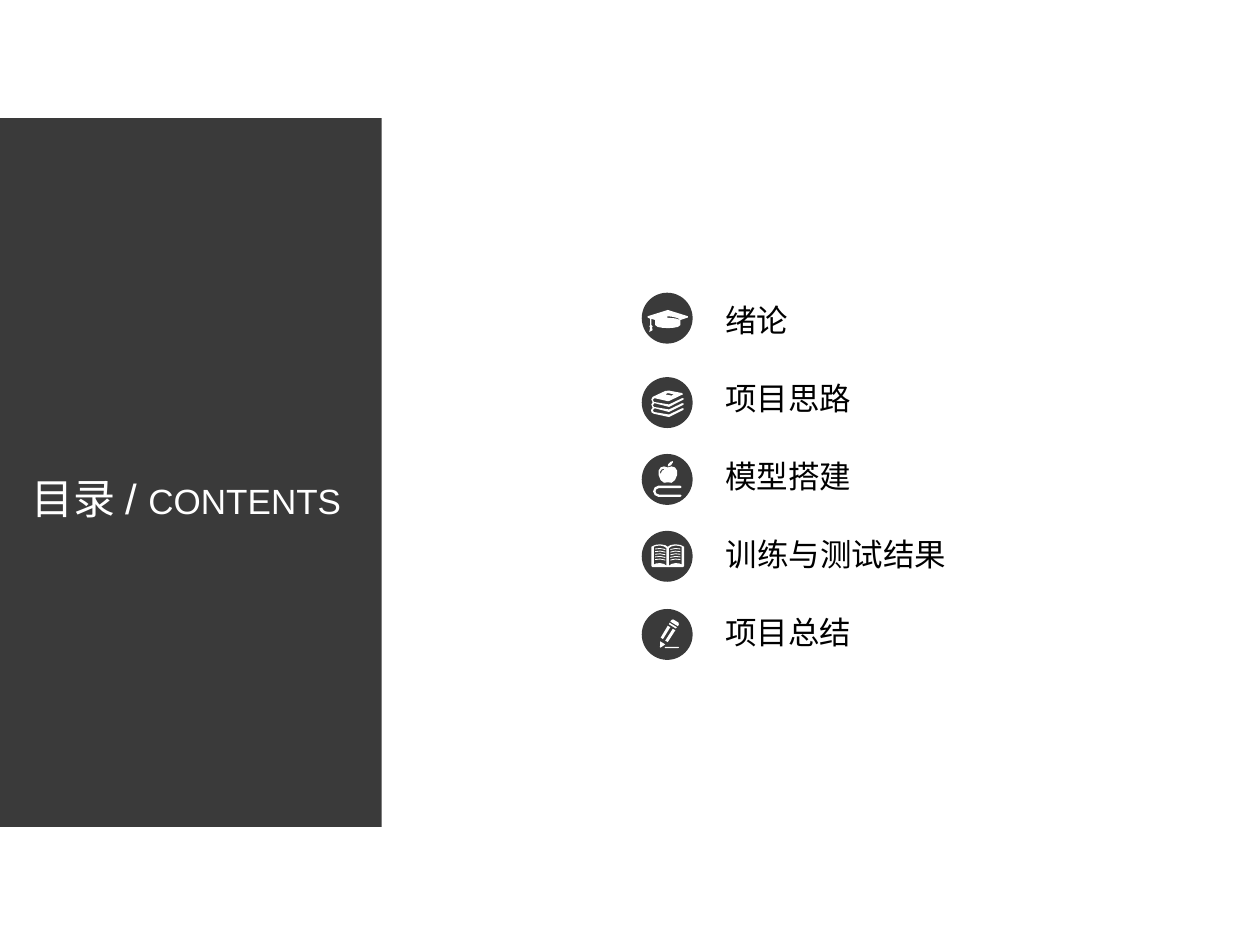
from dataclasses import dataclass

import pptx
import pptx.dml.color
import pptx.enum.shapes
import pptx.enum.text
import pptx.oxml
import pptx.oxml.ns
import pptx.util

COLORS = {"dark": "3A3A3A", "light": "FFFFFF", "text": "000000"}
CJK_FONT = "Noto Sans CJK SC"
WIDTH, HEIGHT = 10, 7.5
BADGE_LEFT, BADGE_SIZE = 0.51 * WIDTH, 0.39
LABEL_LEFT, LABEL_TOP, LABEL_STEP = 0.566 * WIDTH, 2.34, 0.62
UNIT = 0.01  # icon grid: hundredths of an inch from the badge's corner
AXIS = 20  # the open book is symmetric about this column

Contour = list[tuple[float, float]]
Icon = list[list[Contour]]  # shapes, each made of contours


@dataclass
class Chapter:
    label: str
    badge_top: float
    label_width: float
    icon: Icon


def inches(value: float) -> pptx.util.Emu:
    return pptx.util.Inches(value)


def rgb(name: str) -> pptx.dml.color.RGBColor:
    return pptx.dml.color.RGBColor.from_string(COLORS[name])


def mirror(contour: Contour) -> Contour:
    return [(2 * AXIS - x, y) for x, y in contour]


def paint(shape, fill: str, line: str | None = None) -> None:
    shape.shadow.inherit = False
    shape.fill.solid()
    shape.fill.fore_color.rgb = rgb(fill)
    if line:
        shape.line.color.rgb = rgb(line)
        shape.line.width = pptx.util.Pt(1)
    else:
        shape.line.fill.background()


def add_text(paragraph, text: str, *, size: float, color: str, font: str) -> None:
    run = paragraph.add_run()
    run.text = text
    run.font.size = pptx.util.Pt(size)
    run.font.color.rgb = rgb(color)
    run.font.name = font
    east_asian = pptx.oxml.parse_xml(
        f'<a:ea {pptx.oxml.ns.nsdecls("a")} typeface="{CJK_FONT}"/>')
    run.font._element.find(pptx.oxml.ns.qn("a:latin")).addnext(east_asian)


def draw_icon(shapes, icon: Icon, top: float) -> None:
    def place(point: tuple[float, float]) -> tuple[int, int]:
        return (inches(BADGE_LEFT + point[0] * UNIT), inches(top + point[1] * UNIT))

    for contours in icon:
        builder = shapes.build_freeform(*place(contours[0][0]))
        for number, contour in enumerate(contours):
            if number:
                builder.move_to(*place(contour[0]))
            builder.add_line_segments([place(point) for point in contour[1:]], close=True)
        paint(builder.convert_to_shape(), "light")


def draw_chapter(slide, chapter: Chapter, row: int) -> None:
    badge = slide.shapes.add_group_shape().shapes
    disc = badge.add_shape(pptx.enum.shapes.MSO_SHAPE.OVAL, inches(BADGE_LEFT),
                           inches(chapter.badge_top), inches(BADGE_SIZE), inches(BADGE_SIZE))
    paint(disc, "dark", "dark")
    draw_icon(badge, chapter.icon, chapter.badge_top)

    label = slide.shapes.add_textbox(
        inches(LABEL_LEFT), inches(LABEL_TOP + row * LABEL_STEP),
        inches(chapter.label_width), inches(0.4)).text_frame
    label.word_wrap = False
    label.auto_size = pptx.enum.text.MSO_AUTO_SIZE.SHAPE_TO_FIT_TEXT
    add_text(label.paragraphs[0], chapter.label, size=18, color="text", font=CJK_FONT)


# Icons
CAP: Icon = [[[
    (4, 18), (20, 13), (36, 18), (36, 19), (30, 21), (28, 19.5), (24, 18.5), (20, 18),
    (19, 18.7), (20, 19.2), (26, 19.7), (30, 21), (30, 25), (28, 26.5), (24, 27.2),
    (20, 27.4), (16, 27.2), (12, 26.5), (10, 25), (10, 21), (7, 20), (7, 25), (8, 26),
    (7.4, 27), (8, 29), (5.3, 30.5), (6, 27), (5.3, 26), (6, 25), (6, 20), (4, 19)]]]

BOOK_STACK: Icon = [[
    [(21, 27), (32, 21.5), (33, 20.5), (31.5, 20), (21, 25), (9, 23), (8.2, 21.5), (9.5, 20),
     (21, 23), (32, 17.4), (33, 16.5), (31.5, 16), (21, 21), (9, 19), (8.2, 17.3), (9.5, 16),
     (20, 18.4), (21, 18.3), (32, 13), (31.5, 12), (21, 10), (18, 10.3), (8, 15), (7, 17),
     (8, 19.3), (7, 21), (8, 23.6), (6.7, 25.5), (7.2, 27.4), (9, 28.4), (21, 31),
     (32, 25.5), (33, 24.5), (31.5, 24), (21, 29), (9, 27), (8.2, 25.5), (9.5, 24)],
    [(20, 12), (25, 13), (23, 14), (18, 13)]]]

APPLE: Icon = [[
    [(31, 32.5), (30, 33.3), (12.5, 33.3), (9.6, 32), (8.3, 29), (9.6, 25.8), (12.5, 24.5),
     (30, 24.5), (31, 25.5), (30, 26.4), (13, 26.4), (11, 27.2), (10.2, 29), (11, 30.7),
     (13, 31.5), (30, 31.5)],
    [(20, 9.3), (22.5, 8.3), (24, 6), (24, 5), (22, 5.6), (20.3, 7.5)],
    [(27.4, 12.5), (25.7, 10), (23, 9.2), (20, 10), (17, 9.2), (14.3, 10), (12.7, 12.5),
     (12.7, 16), (14.3, 20), (17, 22.2), (20, 21.8), (23, 22.2), (25.7, 20), (27.4, 16)],
    [(17, 11), (15, 11.7), (13.8, 13.5), (14, 15), (14.6, 14.5), (15.5, 12.5), (17, 11.8)]]]

PAGE: Contour = [(19, 13), (19, 27), (17, 25.6), (14, 25), (11, 25.2), (9, 26), (9, 12),
                 (11, 11.3), (14, 11), (17, 11.7)]
LEFT_EDGE: Contour = [(20, 12), (18, 10.7), (14, 10), (10, 10.5), (7, 12), (7, 27.3), (8, 28.2)]
TEXT_ROWS: list[Contour] = [
    [(18, y + 1.5), (14, y + 0.7), (10, y + 1.1), (10, y + 0.4), (14, y), (18, y + 0.8)]
    for y in (13 + 2.1 * row for row in range(5))]
OPEN_BOOK: Icon = [
    [LEFT_EDGE + mirror(LEFT_EDGE)[:0:-1], PAGE, mirror(PAGE)],
    *[[line] for line in TEXT_ROWS],
    *[[mirror(line)] for line in TEXT_ROWS]]

PENCIL: Icon = [[
    [(23, 8), (24.3, 7.6), (28.4, 10), (28.8, 11.5), (28, 13), (22, 9.3)],
    [(21.4, 10.2), (20.8, 11.4), (26.4, 14.8), (27.2, 13.8)],
    [(13.8, 29.5), (14, 25), (18, 27.4), (14.3, 30)],
    [(14.4, 22), (20, 12.6), (22, 13.8), (16.2, 23.2)],
    [(18, 24.4), (24, 15), (26, 16.2), (20, 25.6)],
    [(18, 29.3), (28.4, 29.3), (28.9, 29.8), (28.4, 30.3), (18, 30.3), (17.6, 29.8)]]]

CHAPTERS = [
    Chapter("绪论", 2.33, 0.7, CAP),
    Chapter("项目思路", 3.0, 1.2, BOOK_STACK),
    Chapter("模型搭建", 3.61, 1.2, APPLE),
    Chapter("训练与测试结果", 4.22, 1.95, OPEN_BOOK),
    Chapter("项目总结", 4.84, 1.2, PENCIL),
]


def main() -> None:
    deck = pptx.Presentation()
    deck.slide_width, deck.slide_height = inches(WIDTH), inches(HEIGHT)
    slide = deck.slides.add_slide(deck.slide_layouts.get_by_name("Title Only"))

    # Side panel, placed behind the title
    panel = slide.shapes.add_shape(
        pptx.enum.shapes.MSO_SHAPE.RECTANGLE, 0, inches(HEIGHT / 8),
        inches(0.303 * WIDTH), inches(0.75 * HEIGHT))
    paint(panel, "dark")
    title = slide.shapes.title
    title.element.addprevious(panel.element)

    # Title
    title.left, title.top = inches(0.11), inches(3.7)
    title.width, title.height = inches(2.74), inches(0.5)
    heading = title.text_frame
    heading.word_wrap = True
    heading.auto_size = pptx.enum.text.MSO_AUTO_SIZE.SHAPE_TO_FIT_TEXT
    heading.vertical_anchor = pptx.enum.text.MSO_ANCHOR.TOP
    heading.paragraphs[0].alignment = pptx.enum.text.PP_ALIGN.CENTER
    for text, size in (("目录 / ", 24), ("CONTENTS", 20)):
        add_text(heading.paragraphs[0], text, size=size, color="light", font="Arial")

    # Chapter list
    for row, chapter in enumerate(CHAPTERS):
        draw_chapter(slide, chapter, row)

    deck.save("out.pptx")


if __name__ == "__main__":
    main()
